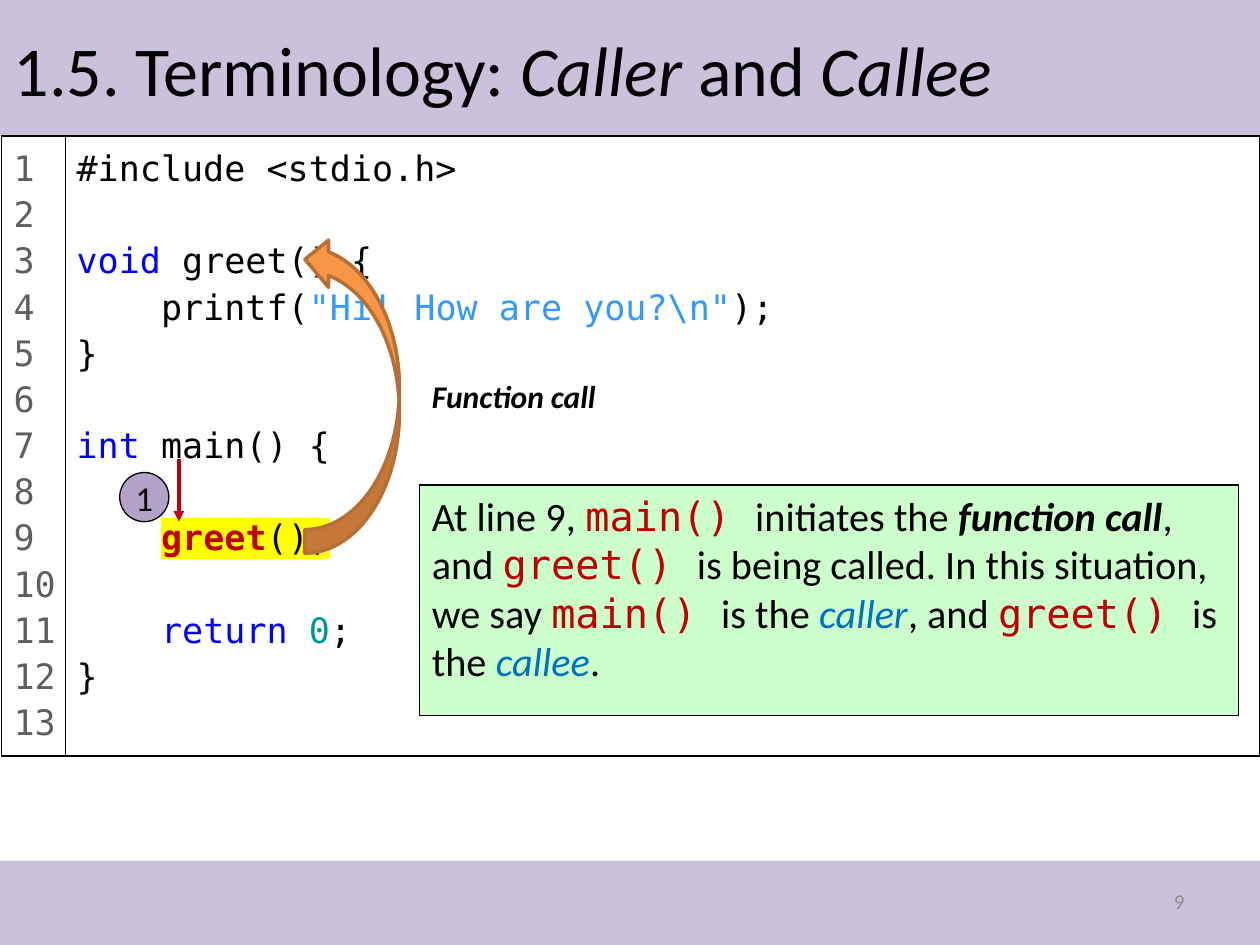
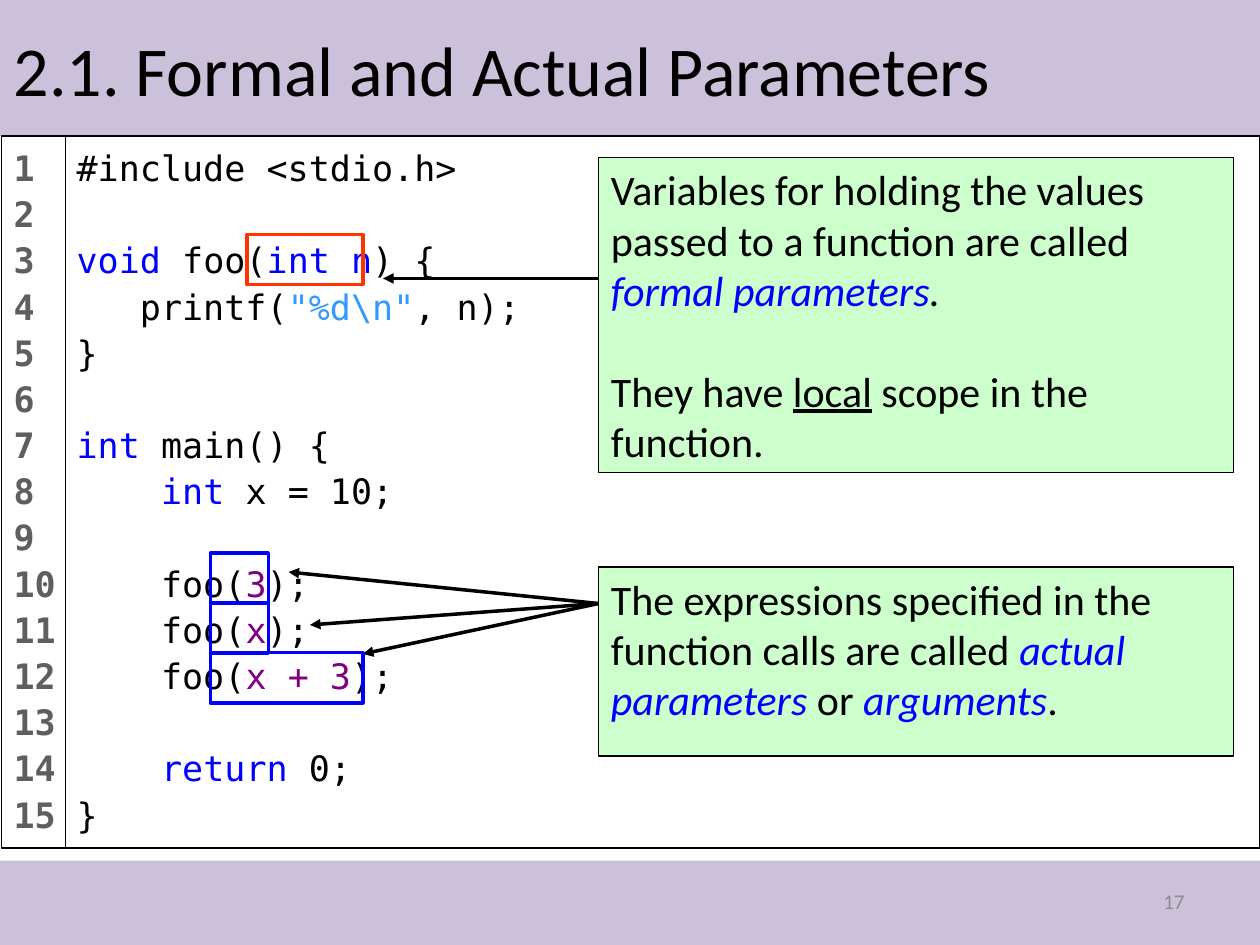
from dataclasses import dataclass
from typing import NamedTuple, Optional, Union

import lxml.etree
import pptx
import pptx.dml.color
import pptx.enum.shapes
import pptx.enum.text
import pptx.oxml.ns
import pptx.util

ANCHOR = pptx.enum.text.MSO_ANCHOR
ALIGN = pptx.enum.text.PP_ALIGN
SHAPE = pptx.enum.shapes.MSO_SHAPE
SLIDE_WIDTH = pptx.util.Inches(10)
SLIDE_HEIGHT = pptx.util.Inches(7.5)
COLUMNS, ROWS = 40, 30
HEADER_ROWS = 4.32
FOOTER_TOP = 27.32
GUTTER_COLUMNS = 2.04
CODE_PITCH = 26.4
TEXT_FONT, CODE_FONT = "Calibri", "DejaVu Sans Mono"

COLORS = {
    "black": "000000", "white": "FFFFFF", "band": "CCC1DA", "page number": "8C8C8C",
    "line number": "5F5F5F", "keyword": "0000FF", "string": "3399FF",
    "number": "009999", "argument": "800080", "function": "C00000",
    "highlight": "FFFF00", "term": "0070C0", "callout": "CCFFCC",
    "call arrow": "F79646", "call outline": "B76F34", "step": "B3A2C7",
    "formal": "FF3300",
}

LOOKS = {
    "plain": {},
    "keyword": {"color": "keyword"},
    "string": {"color": "string"},
    "number": {"color": "number"},
    "argument": {"color": "argument"},
    "call": {"color": "function", "bold": True, "highlight": "highlight"},
    "call end": {"highlight": "highlight"},
    "function": {"color": "function", "font": CODE_FONT},
    "italic": {"italic": True},
    "strong": {"bold": True, "italic": True},
    "term": {"color": "term", "italic": True},
    "blue term": {"color": "keyword", "italic": True},
    "underlined": {"underline": True},
}


class Span(NamedTuple):
    text: str
    look: str = "plain"


class Box(NamedTuple):
    left: float
    top: float
    width: float
    height: float


class Arrow(NamedTuple):
    start: tuple[float, float]
    end: tuple[float, float]
    color: str = "black"


Line = list[Union[str, Span]]


@dataclass
class Callout:
    box: Box
    lines: list[Line]
    size: float


@dataclass
class CodeSlide:
    title: Line
    page: int
    code: list[Line]
    line_count: int
    code_rows: float
    callouts: list[Callout]
    arrows: list[Arrow]
    code_fill: Optional[str] = None
    bold_numbers: bool = False


def across(columns: float) -> int:
    return round(SLIDE_WIDTH * columns / COLUMNS)


def down(rows: float) -> int:
    return round(SLIDE_HEIGHT * rows / ROWS)


def place(box: Box) -> tuple[int, int, int, int]:
    return across(box.left), down(box.top), across(box.width), down(box.height)


def color_of(name: str) -> pptx.dml.color.RGBColor:
    return pptx.dml.color.RGBColor.from_string(COLORS[name])


def add_text(paragraph, text: str, *, size: float, font: str = TEXT_FONT,
             color: str = "black", bold: bool = False, italic: bool = False,
             underline: bool = False, highlight: Optional[str] = None) -> None:
    run = paragraph.add_run()
    run.text = text
    run.font.size = pptx.util.Pt(size)
    run.font.name = font
    run.font.bold = bold
    run.font.italic = italic
    run.font.underline = underline
    run.font.color.rgb = color_of(color)
    if highlight:
        qn = pptx.oxml.ns.qn
        mark = lxml.etree.Element(qn("a:highlight"))
        lxml.etree.SubElement(mark, qn("a:srgbClr"), val=COLORS[highlight])
        run._r.get_or_add_rPr().find(qn("a:solidFill")).addnext(mark)


def write_lines(shape, lines: list[Line], *, anchor=ANCHOR.TOP, align=ALIGN.LEFT,
                wrap: bool = True, spacing: Optional[float] = None,
                pitch: float = 0, **text_format) -> None:
    frame = shape.text_frame
    frame.word_wrap = wrap
    frame.vertical_anchor = anchor
    paragraph = None
    skipped = 0
    for line in lines:
        if not line:
            skipped += 1
            continue
        paragraph = frame.add_paragraph() if paragraph else frame.paragraphs[0]
        paragraph.alignment = align
        if spacing:
            paragraph.line_spacing = spacing
        if skipped:
            paragraph.space_before = pptx.util.Pt(skipped * pitch)
        skipped = 0
        for part in line:
            span = Span(part) if isinstance(part, str) else part
            add_text(paragraph, span.text, **{**text_format, **LOOKS[span.look]})


def add_block(slide, box: Box, *, kind=SHAPE.RECTANGLE, fill: Optional[str] = None,
              line: Optional[str] = "black", line_width: float = 0.75):
    shape = slide.shapes.add_shape(kind, *place(box))
    shape.shadow.inherit = False
    if fill:
        shape.fill.solid()
        shape.fill.fore_color.rgb = color_of(fill)
    else:
        shape.fill.background()
    if line:
        shape.line.color.rgb = color_of(line)
        shape.line.width = pptx.util.Pt(line_width)
    else:
        shape.line.fill.background()
    return shape


def add_arrow(slide, arrow: Arrow) -> None:
    connector = slide.shapes.add_connector(
        pptx.enum.shapes.MSO_CONNECTOR.STRAIGHT,
        across(arrow.start[0]), down(arrow.start[1]),
        across(arrow.end[0]), down(arrow.end[1]))
    connector.line.color.rgb = color_of(arrow.color)
    connector.line.width = pptx.util.Pt(2)
    qn = pptx.oxml.ns.qn
    lxml.etree.SubElement(connector.line._get_or_add_ln(), qn("a:tailEnd"), type="triangle")
    lxml.etree.SubElement(connector.element.spPr, qn("a:effectLst"))


def add_bands(slide) -> None:
    layout_tree = slide.slide_layout.shapes.element
    for top, height in ((0, HEADER_ROWS), (FOOTER_TOP, ROWS - FOOTER_TOP)):
        band = add_block(slide, Box(0, top, COLUMNS, height), fill="band", line=None)
        layout_tree.insert(2, band.element)


def add_code_slide(presentation, layout, content: CodeSlide):
    slide = presentation.slides.add_slide(layout)
    title = slide.shapes.title
    title.left, title.top, title.width, title.height = place(Box(0.04, 0, 39.96, HEADER_ROWS))
    title.text_frame.auto_size = pptx.enum.text.MSO_AUTO_SIZE.NONE
    write_lines(title, [content.title], anchor=ANCHOR.MIDDLE, size=40)

    page = slide.shapes.add_textbox(*place(Box(28.68, 27.8, 9.32, 1.6)))
    write_lines(page, [[str(content.page)]], anchor=ANCHOR.MIDDLE, align=ALIGN.RIGHT,
                size=12, color="page number")

    code_format = {"size": 20, "font": CODE_FONT, "spacing": 1.1, "pitch": CODE_PITCH}
    code = add_block(slide, Box(GUTTER_COLUMNS, HEADER_ROWS, COLUMNS - GUTTER_COLUMNS,
                                content.code_rows), fill=content.code_fill)
    write_lines(code, content.code, **code_format)
    gutter = add_block(slide, Box(0.04, HEADER_ROWS, GUTTER_COLUMNS, content.code_rows),
                       fill="white")
    numbers = [[str(number)] for number in range(1, content.line_count + 1)]
    write_lines(gutter, numbers, wrap=False, color="line number",
                bold=content.bold_numbers, **code_format)

    for callout in content.callouts:
        shape = add_block(slide, callout.box, fill="callout")
        write_lines(shape, callout.lines, size=callout.size, pitch=callout.size * 1.2)
    for arrow in content.arrows:
        add_arrow(slide, arrow)
    return slide


def add_function_call(slide) -> None:
    call = add_block(slide, Box(9.68, 7.48, 3, 10.08), kind=SHAPE.CURVED_RIGHT_ARROW,
                     fill="call arrow", line="call outline", line_width=2)
    call.rotation = 180
    label = slide.shapes.add_textbox(*place(Box(13.32, 11.76, 6.08, 1.6)))
    label.text_frame.auto_size = pptx.enum.text.MSO_AUTO_SIZE.SHAPE_TO_FIT_TEXT
    write_lines(label, [[Span("Function call", "strong")]], wrap=False, size=18)
    step = add_block(slide, Box(3.8, 15, 1.56, 1.56), kind=SHAPE.OVAL, fill="step")
    frame = step.text_frame
    frame.margin_left = frame.margin_right = frame.margin_top = frame.margin_bottom = 0
    write_lines(step, [["1"]], anchor=ANCHOR.MIDDLE, align=ALIGN.CENTER, size=20)


def add_parameter_frames(slide) -> None:
    add_block(slide, Box(7.84, 7.44, 3.68, 1.6), line="formal", line_width=2)
    for index, width in enumerate((1.84, 1.84, 4.84)):
        add_block(slide, Box(6.68, 17.56 + 1.58 * index, width, 1.6),
                  line="keyword", line_width=2)


CALLER_SLIDE = CodeSlide(
    title=["1.5. Terminology: ", Span("Caller", "italic"), " and ", Span("Callee", "italic")],
    page=9,
    code=[
        ["#include <stdio.h>"],
        [],
        [Span("void ", "keyword"), "greet() {"],
        ["    printf(", Span('"Hi! How are you?\\n"', "string"), ");"],
        ["}"],
        [],
        [Span("int", "keyword"), " main() {"],
        [],
        ["    ", Span("greet", "call"), Span("();", "call end")],
        [],
        ["    ", Span("return ", "keyword"), Span("0", "number"), ";"],
        ["}"],
    ],
    line_count=13,
    code_rows=19.68,
    callouts=[Callout(Box(13.32, 15.4, 26, 7.32), [[
        "At line 9, ", Span("main() ", "function"), "initiates the ",
        Span("function call", "strong"), ", and ", Span("greet() ", "function"),
        "is being called. In this situation, we say ", Span("main() ", "function"),
        "is the ", Span("caller", "term"), ", and ", Span("greet() ", "function"),
        "is the ", Span("callee", "term"), "."]], 23)],
    arrows=[Arrow((5.68, 14.56), (5.68, 16.56), "function")],
)

PARAMETER_SLIDE = CodeSlide(
    title=["2.1. Formal and Actual Parameters"],
    page=17,
    code=[
        ["#include <stdio.h>"],
        [],
        [Span("void", "keyword"), " foo(", Span("int n", "keyword"), ") {"],
        ["   printf(", Span('"%d\\n"', "string"), ", n);"],
        ["}"],
        [],
        [Span("int", "keyword"), " main() {"],
        ["    ", Span("int", "keyword"), " x = 10;"],
        [],
        *[["    foo(", Span(value, "argument"), ");"] for value in ("3", "x", "x + 3")],
        [],
        ["    ", Span("return", "keyword"), " 0;"],
        ["}"],
    ],
    line_count=15,
    code_rows=22.6,
    callouts=[
        Callout(Box(19, 5, 20.16, 10), [
            ["Variables for holding the values passed to a function are called ",
             Span("formal parameters", "blue term"), Span(".", "italic")],
            [],
            ["They have ", Span("local", "underlined"), " scope in the function."]], 24),
        Callout(Box(19, 18, 20.16, 6), [
            ["The expressions specified in the function calls are called ",
             Span("actual parameters", "blue term"), " or ",
             Span("arguments", "blue term"), "."]], 24),
    ],
    arrows=[Arrow((19, 8.84), (12.16, 8.84)),
            *[Arrow((19, 19.16), end)
              for end in ((9.16, 18.16), (9.84, 19.84), (11.52, 20.76))]],
    code_fill="white",
    bold_numbers=True,
)


def main() -> None:
    presentation = pptx.Presentation()
    presentation.slide_width = SLIDE_WIDTH
    presentation.slide_height = SLIDE_HEIGHT
    layout = presentation.slide_layouts.get_by_name("Title Only")
    caller_slide = add_code_slide(presentation, layout, CALLER_SLIDE)
    add_bands(caller_slide)
    add_function_call(caller_slide)
    add_parameter_frames(add_code_slide(presentation, layout, PARAMETER_SLIDE))
    presentation.save("out.pptx")


if __name__ == "__main__":
    main()
